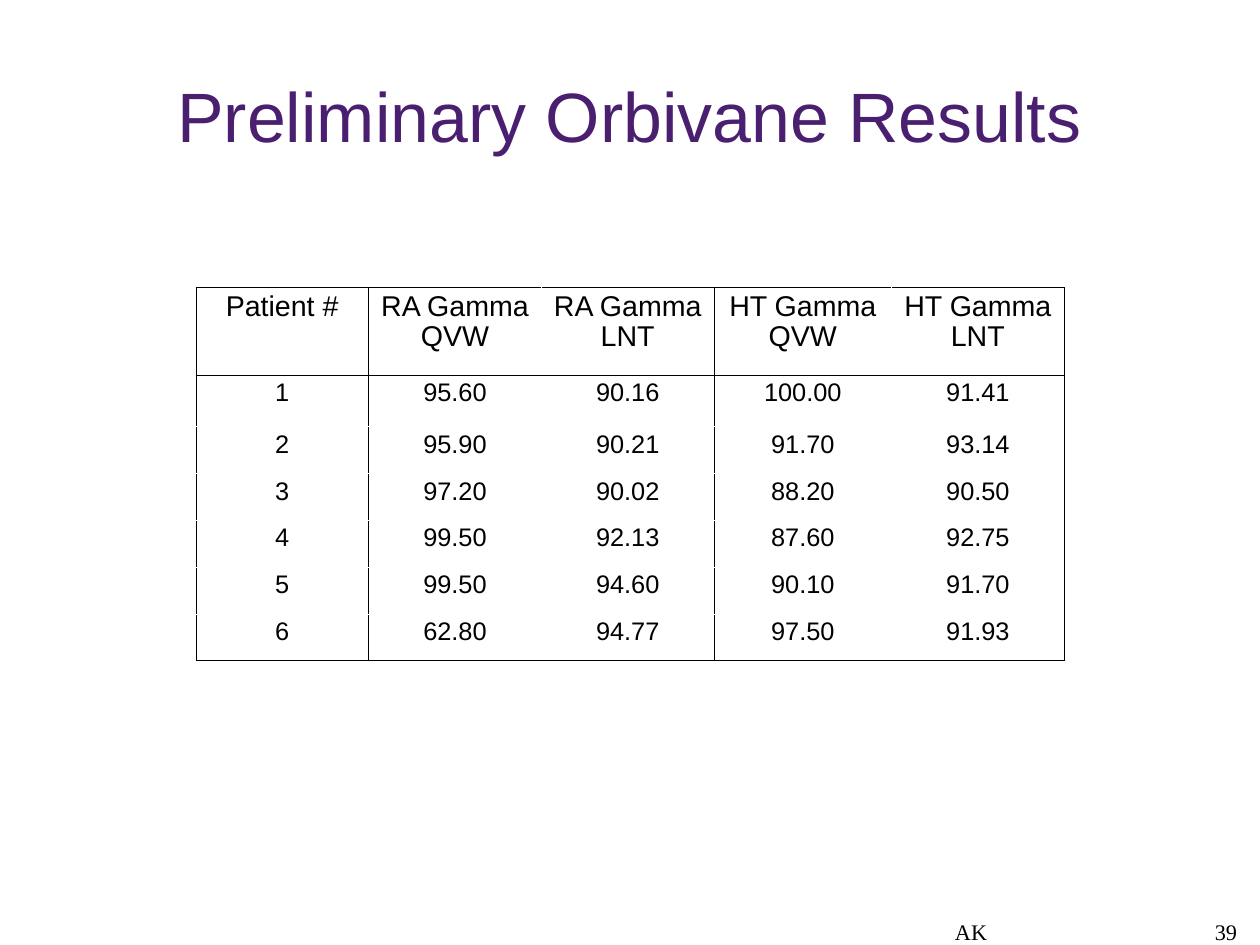
from lxml import etree
from pptx import Presentation
from pptx import util as u
from pptx.dml.color import RGBColor
from pptx.enum import text
from pptx.oxml import ns

BLACK, WHITE, PURPLE = "000000", "FFFFFF", "4B1F6F"


def style(paragraph, align, spacing, font, size, color):
    paragraph.alignment = align
    paragraph.line_spacing = spacing
    paragraph.font.name = font
    paragraph.font.size = u.Pt(size)
    paragraph.font.color.rgb = RGBColor.from_string(color)


def add_border(cell, side, color):
    """Draw one hairline edge; side is L, R, T or B, called in that order."""
    line = etree.SubElement(cell._tc.get_or_add_tcPr(), ns.qn(f"a:ln{side}"), w="720")
    fill = etree.SubElement(line, ns.qn("a:solidFill"))
    etree.SubElement(fill, ns.qn("a:srgbClr"), val=color)


prs = Presentation()
prs.slide_width, prs.slide_height = u.Cm(28), u.Cm(21)
slide = prs.slides.add_slide(prs.slide_layouts[6])

# Title, footer and page number
center, right = text.PP_ALIGN.CENTER, text.PP_ALIGN.RIGHT
middle, bottom = text.MSO_ANCHOR.MIDDLE, text.MSO_ANCHOR.BOTTOM
labels = [
    ("AK", (17.15, 19.56, 8.86, 1.45), bottom, 0, (center, 0.95, "Times New Roman", 14, BLACK)),
    ("39", (20.96, 19.56, 6.53, 1.45), bottom, 0, (right, 0.95, "Times New Roman", 14, BLACK)),
    ("Preliminary Orbivane Results", (1.4, 0.84, 25.2, 3.5), middle, 0.1,
     (center, 0.93, "Arial", 44, PURPLE)),
]
for wording, place, anchor, top_inset, look in labels:
    frame = slide.shapes.add_textbox(*map(u.Cm, place)).text_frame
    frame.word_wrap = True
    frame.vertical_anchor = anchor
    frame.margin_left = frame.margin_right = frame.margin_bottom = 0
    frame.margin_top = u.Cm(top_inset)
    frame.text = wording
    style(frame.paragraphs[0], *look)

# Gamma pass rates per patient
header = ["Patient #", "RA Gamma QVW", "RA Gamma LNT", "HT Gamma QVW", "HT Gamma LNT"]
gamma_rates = [
    (95.60, 90.16, 100.00, 91.41),
    (95.90, 90.21, 91.70, 93.14),
    (97.20, 90.02, 88.20, 90.50),
    (99.50, 92.13, 87.60, 92.75),
    (99.50, 94.60, 90.10, 91.70),
    (62.80, 94.77, 97.50, 91.93),
]
rows = [header] + [
    [str(patient)] + [f"{rate:.2f}" for rate in rates]
    for patient, rates in enumerate(gamma_rates, 1)
]
column_widths = [3.84, 3.84, 3.84, 3.94, 3.84]
row_heights = [1.96, 1.14] + [1.04] * 5
last_row = len(rows) - 1

results = slide.shapes.add_table(
    len(rows), len(header), u.Cm(4.35), u.Cm(6.38),
    u.Cm(sum(column_widths)), u.Cm(sum(row_heights))).table
results.first_row = results.horz_banding = False
for column, width in zip(results.columns, column_widths):
    column.width = u.Cm(width)
for row, height in zip(results.rows, row_heights):
    row.height = u.Cm(height)

for r, values in enumerate(rows):
    for c, value in enumerate(values):
        cell = results.cell(r, c)
        cell.text = value
        style(cell.text_frame.paragraphs[0], center, 0.93, "Arial", 16 if r else 18, BLACK)
        # Black edges frame the header, the patient column and each pair of rates
        black_edges = {"L": c in (0, 1, 3), "R": c in (0, 2, 4),
                       "T": r in (0, 1), "B": r in (0, last_row)}
        for side, is_black in black_edges.items():
            add_border(cell, side, BLACK if is_black else WHITE)
        cell.fill.solid()
        cell.fill.fore_color.rgb = RGBColor.from_string(WHITE)

prs.save("out.pptx")
